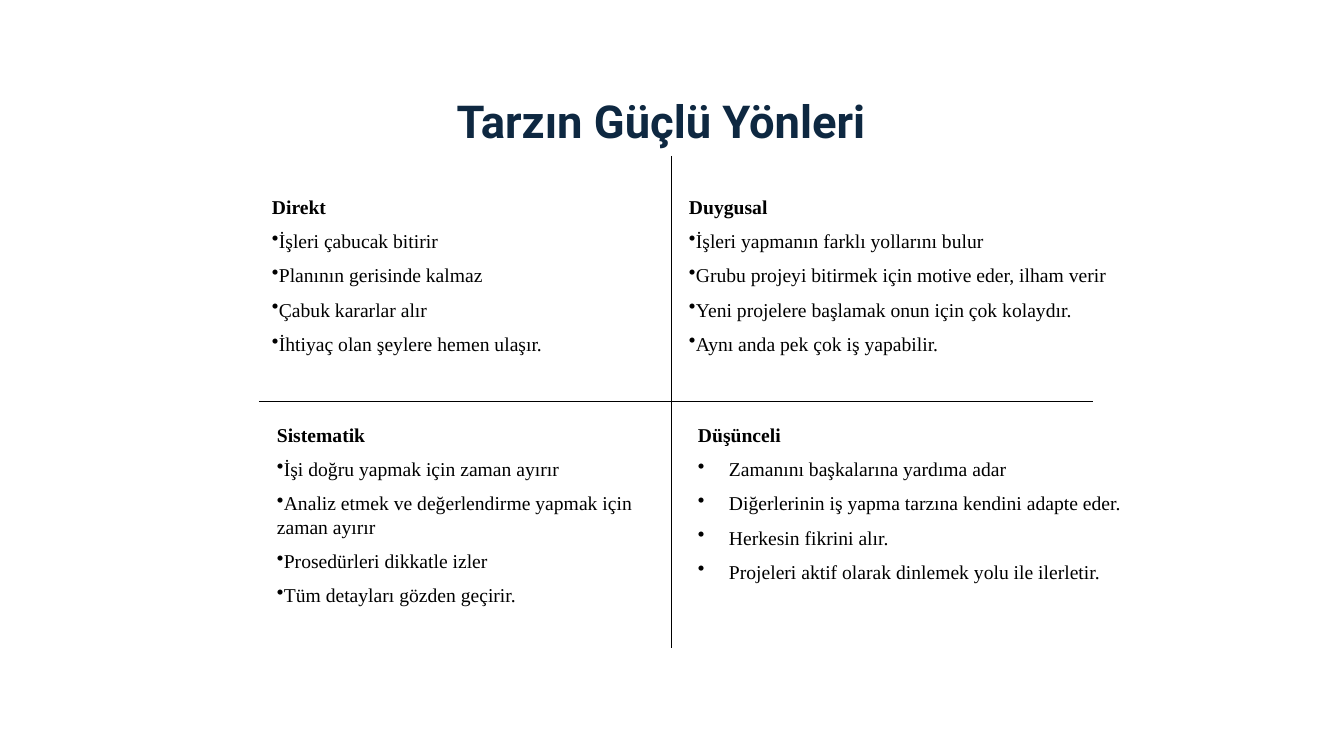
import pptx
import pptx.dml.color
import pptx.enum.shapes
import pptx.enum.text
import pptx.oxml
import pptx.oxml.ns
import pptx.util

EMU_PER_PX = 914400 / 100.8
COLORS = {"title": "0E2841", "ink": "000000"}
FORMATS = {
    "title": {"name": "Roboto", "size": pptx.util.Pt(32.4), "bold": True},
    "heading": {"name": "Times New Roman", "size": pptx.util.Pt(14), "bold": True},
    "item": {"name": "Times New Roman", "size": pptx.util.Pt(14), "bold": False},
}

# (left, top, width, height), hanging indent, heading, items
QUADRANTS = [
    ((262, 190, 405, 176), 0, "Direkt", [
        "İşleri çabucak bitirir",
        "Planının gerisinde kalmaz",
        "Çabuk kararlar alır",
        "İhtiyaç olan şeylere hemen ulaşır.",
    ]),
    ((679, 190, 445, 212), 0, "Duygusal", [
        "İşleri yapmanın farklı yollarını bulur",
        "Grubu projeyi bitirmek için motive eder, ilham verir",
        "Yeni projelere başlamak onun için çok kolaydır.",
        "Aynı anda pek çok iş yapabilir.",
    ]),
    ((267, 418, 397, 236), 0, "Sistematik", [
        "İşi doğru yapmak için zaman ayırır",
        "Analiz etmek ve değerlendirme yapmak için zaman ayırır",
        "Prosedürleri dikkatle izler",
        "Tüm detayları gözden geçirir.",
    ]),
    ((688, 418, 475, 212), 31, "Düşünceli", [
        "Zamanını başkalarına yardıma adar",
        "Diğerlerinin iş yapma tarzına kendini adapte eder.",
        "Herkesin fikrini alır.",
        "Projeleri aktif olarak dinlemek yolu ile ilerletir.",
    ]),
]


def px(length):
    return pptx.util.Emu(round(length * EMU_PER_PX))


class StyleSlide:
    def __init__(self, deck):
        self.slide = deck.slides.add_slide(deck.slide_layouts[6])

    def text_frame(self, box):
        frame = self.slide.shapes.add_textbox(*map(px, box)).text_frame
        frame.word_wrap = True
        return frame

    def add_words(self, paragraph, words, style, color):
        run = paragraph.add_run()
        run.text = words
        for attribute, value in FORMATS[style].items():
            setattr(run.font, attribute, value)
        run.font.color.rgb = pptx.dml.color.RGBColor.from_string(COLORS[color])

    def title(self, box, words):
        frame = self.text_frame(box)
        frame.vertical_anchor = pptx.enum.text.MSO_ANCHOR.MIDDLE
        heading = frame.paragraphs[0]
        heading.alignment = pptx.enum.text.PP_ALIGN.CENTER
        heading.line_spacing = 0.9
        self.add_words(heading, words, "title", "title")

    def axis(self, *ends):
        axis = self.slide.shapes.add_connector(
            pptx.enum.shapes.MSO_CONNECTOR.STRAIGHT, *map(px, ends))
        axis.line.width = pptx.util.Pt(0.75)
        axis.line.color.rgb = pptx.dml.color.RGBColor.from_string(COLORS["ink"])
        axis._element.spPr.append(pptx.oxml.parse_xml(
            f"<a:effectLst {pptx.oxml.ns.nsdecls('a')}/>"))

    def quadrant(self, box, hang, heading, items):
        frame = self.text_frame(box)
        self.add_words(frame.paragraphs[0], heading, "heading", "ink")
        for item in items:
            paragraph = frame.add_paragraph()
            self.bullet(paragraph, hang)
            paragraph.space_before = pptx.util.Pt(7.6)
            self.add_words(paragraph, item, "item", "ink")

    def bullet(self, paragraph, hang):
        properties = paragraph._p.get_or_add_pPr()
        properties.set("marL", str(px(hang)))
        properties.set("indent", str(-px(hang)))
        properties.append(pptx.oxml.parse_xml(
            f"<a:buChar {pptx.oxml.ns.nsdecls('a')} char='•'/>"))


def main():
    deck = pptx.Presentation()
    deck.slide_width, deck.slide_height = px(1344), px(756)
    strengths = StyleSlide(deck)
    strengths.title((216, 95, 890, 58), "Tarzın Güçlü Yönleri")
    strengths.axis(672, 156, 672, 648)
    strengths.axis(259, 402, 1093, 402)
    for quadrant in QUADRANTS:
        strengths.quadrant(*quadrant)
    deck.save("out.pptx")


if __name__ == "__main__":
    main()
